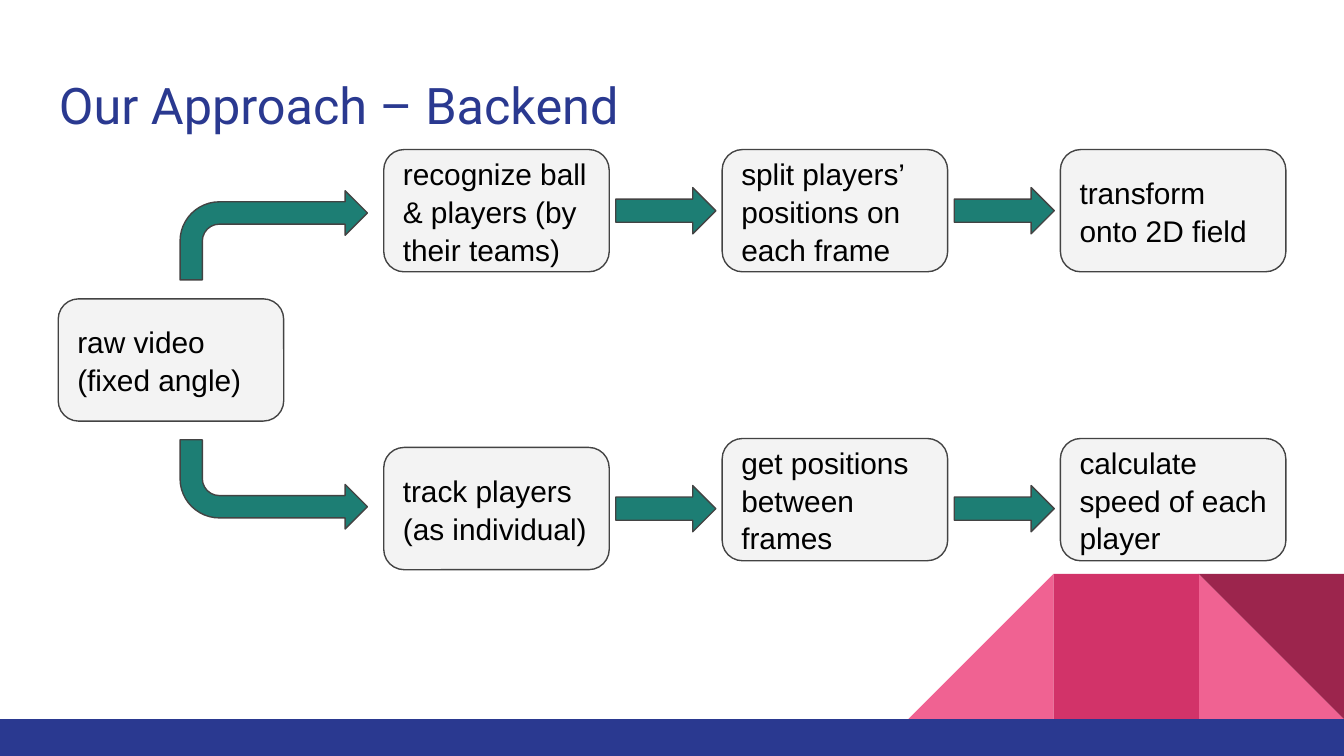
from pptx import Presentation
from pptx.dml.color import RGBColor
from pptx.enum.shapes import MSO_SHAPE
from pptx.enum.text import MSO_ANCHOR, PP_ALIGN
from pptx.util import Pt

RECTANGLE = MSO_SHAPE.RECTANGLE
TRIANGLE = MSO_SHAPE.RIGHT_TRIANGLE
ROUNDED = MSO_SHAPE.ROUNDED_RECTANGLE
BENT_ARROW = MSO_SHAPE.BENT_ARROW
RIGHT_ARROW = MSO_SHAPE.RIGHT_ARROW
MIDDLE, TOP = MSO_ANCHOR.MIDDLE, MSO_ANCHOR.TOP
LEFT = PP_ALIGN.LEFT

COLORS = {
    "navy": "2A3990",
    "pink": "F06292",
    "rose": "D23369",
    "wine": "9C254D",
    "teal": "1D7E74",
    "step": "F3F3F3",
    "outline": "434343",
    "text": "000000",
}

PAGE_WIDTH, PAGE_HEIGHT = 720, 405
BAR_TOP = 385.2
TILE = 77.8
STEP_WIDTH, STEP_HEIGHT = 120.8, 65.5
COLUMNS = (205.6, 386.9, 568.1)
ARROW_WIDTH, ARROW_HEIGHT = 53.6, 24.8
ARROW_GAP = 3.5

# Top of the first step, top of the other steps, top of the arrows, wording
ROWS = (
    (80.1, 80.1, 100.5, (
        "recognize ball & players (by their teams)",
        "split players’ positions on each frame",
        "transform onto 2D field",
    )),
    (239.7, 234.9, 260.1, (
        "track players (as individual)",
        "get positions between frames",
        "calculate speed of each player",
    )),
)


def color(name):
    return RGBColor.from_string(COLORS[name])


def add_block(page, kind, left, top, width, height, fill, outline=None,
              rotation=0, mirrored=False):
    block = page.shapes.add_shape(kind, Pt(left), Pt(top), Pt(width), Pt(height))
    block.shadow.inherit = False
    block.fill.solid()
    block.fill.fore_color.rgb = color(fill)
    if outline:
        block.line.color.rgb = color(outline)
        block.line.width = Pt(0.75)
    else:
        block.line.fill.background()
    block.rotation = rotation
    if mirrored:
        block._element.spPr.get_or_add_xfrm().set("flipH", "1")
    return block


def write_text(box, text, font, size, ink, anchor, spacing=1.0):
    frame = box.text_frame
    frame.text = text
    frame.word_wrap = True
    frame.vertical_anchor = anchor
    frame.margin_left = frame.margin_right = Pt(7.2)
    frame.margin_top = frame.margin_bottom = Pt(7.2)
    for para in frame.paragraphs:
        para.alignment = LEFT
        para.line_spacing = spacing
        for span in para.runs:
            span.font.name = font
            span.font.size = Pt(size)
            span.font.color.rgb = color(ink)


def add_decoration(page):
    """Draw the corner tiles and the bar along the bottom edge."""
    top = BAR_TOP - TILE
    right, middle, left = (PAGE_WIDTH - TILE * count for count in (1, 2, 3))
    add_block(page, TRIANGLE, right, top, TILE, TILE, "pink")
    add_block(page, TRIANGLE, left, top, TILE, TILE, "pink", mirrored=True)
    add_block(page, RECTANGLE, middle, top, TILE, TILE, "rose")
    add_block(page, TRIANGLE, right, top, TILE, TILE, "wine", rotation=180)
    add_block(page, RECTANGLE, 0, BAR_TOP, PAGE_WIDTH,
              PAGE_HEIGHT - BAR_TOP, "navy")


def add_title(page, text):
    box = page.shapes.add_textbox(Pt(24.5), Pt(32.4), Pt(671), Pt(47.5))
    write_text(box, text, "Roboto", 27, "navy", TOP)


def add_step(page, left, top, text):
    step = add_block(page, ROUNDED, left, top, STEP_WIDTH, STEP_HEIGHT,
                     "step", "outline")
    write_text(step, text, "Arial", 16, "text", MIDDLE, 1.05)


def add_branch(page, top, **turn):
    arrow = add_block(page, BENT_ARROW, 96.5, top, 100.4, 47.8,
                      "teal", "outline", **turn)
    arrow.adjustments[3] = 0.44


def add_row(page, first_top, other_top, arrow_top, texts):
    for index, (left, text) in enumerate(zip(COLUMNS, texts)):
        add_step(page, left, other_top if index else first_top, text)
    for left in COLUMNS[:-1]:
        add_block(page, RIGHT_ARROW, left + STEP_WIDTH + ARROW_GAP, arrow_top,
                  ARROW_WIDTH, ARROW_HEIGHT, "teal", "outline")


def main():
    deck = Presentation()
    deck.slide_width, deck.slide_height = Pt(PAGE_WIDTH), Pt(PAGE_HEIGHT)
    page = deck.slides.add_slide(deck.slide_layouts[6])
    add_decoration(page)
    add_title(page, "Our Approach – Backend")
    add_step(page, 31.2, 160.1, "raw video\n(fixed angle)")
    for row in ROWS:
        add_row(page, *row)
    add_branch(page, 102.2)
    add_branch(page, 235.6, rotation=180, mirrored=True)
    deck.save("out.pptx")


if __name__ == "__main__":
    main()
